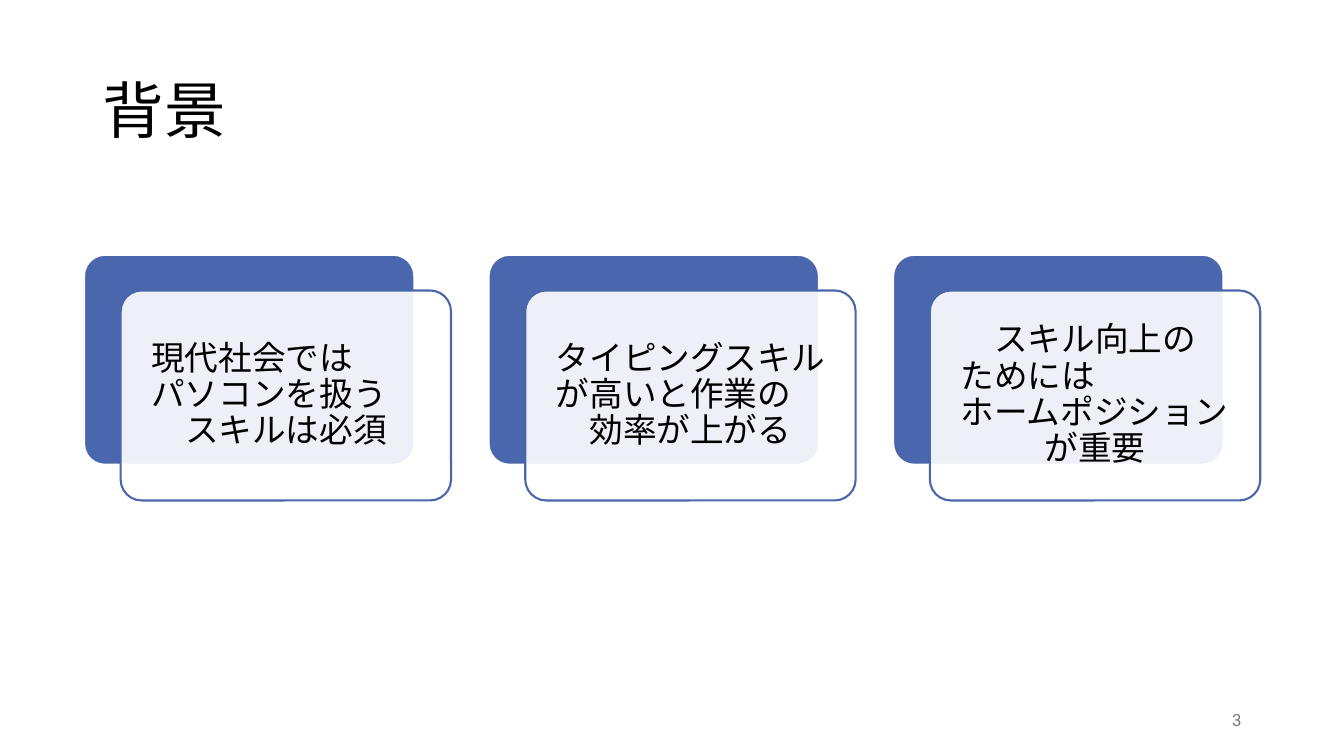
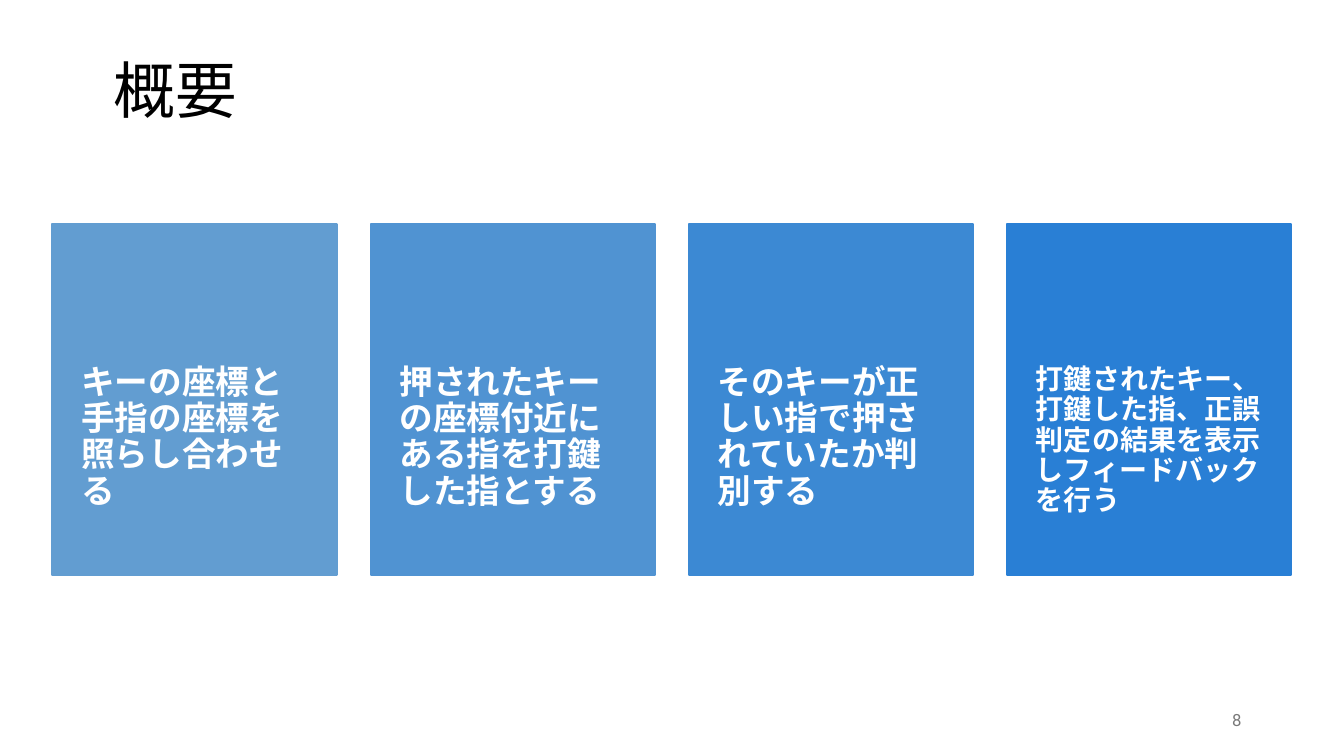
"""Build two slides on the background and outline of a typing trainer."""
from lxml import etree
from pptx import Presentation
from pptx.dml.color import RGBColor
from pptx.enum import lang, shapes, text
from pptx.oxml.ns import qn
from pptx.util import Pt

FONT = "Roboto"
BLACK = RGBColor(0x00, 0x00, 0x00)
WHITE = RGBColor(0xFF, 0xFF, 0xFF)
GREY = RGBColor(0x79, 0x79, 0x79)
NAVY = RGBColor(0x4A, 0x66, 0xAC)
BLUES = [RGBColor(0x62, 0x9D, 0xD1), RGBColor(0x50, 0x93, 0xD2),
         RGBColor(0x3C, 0x89, 0xD3), RGBColor(0x29, 0x7F, 0xD5)]

LEFT, RIGHT = text.PP_ALIGN.LEFT, text.PP_ALIGN.RIGHT
TOP, MIDDLE = text.MSO_ANCHOR.TOP, text.MSO_ANCHOR.MIDDLE
RECT, ROUND = shapes.MSO_SHAPE.RECTANGLE, shapes.MSO_SHAPE.ROUNDED_RECTANGLE

CARDS = [
    [("現代社会では", 0), ("パソコンを扱う", 0), ("スキルは必須", 1)],
    [("タイピングスキル", 0), ("が高いと作業の", 0), ("効率が上がる", 1)],
    [("スキル向上の", 1), ("ためには", 0), ("ホームポジション", 0), ("が重要", 2.5)],
]
PANELS = [
    ("キーの座標と手指の座標を照らし合わせる", 24),
    ("押されたキーの座標付近にある指を打鍵した指とする", 24),
    ("そのキーが正しい指で押されていたか判別する", 24),
    ("打鍵されたキー、打鍵した指、正誤判定の結果を表示しフィードバックを行う", 20),
]


def setup(frame, anchor, insets):
    """Set the wrapping, anchor and insets (left, top, right, bottom) of a frame."""
    frame.word_wrap = True
    frame.auto_size = text.MSO_AUTO_SIZE.NONE
    frame.vertical_anchor = anchor
    (frame.margin_left, frame.margin_top,
     frame.margin_right, frame.margin_bottom) = map(Pt, insets)


def write(frame, lines, size, color, bold=False, align=LEFT):
    """Write each (words, indent) line as a paragraph, indented in characters."""
    for i, (words, indent) in enumerate(lines):
        para = frame.add_paragraph() if i else frame.paragraphs[0]
        para.alignment = align
        para.line_spacing = 0.9
        if indent:
            para._p.get_or_add_pPr().set("marL", str(Pt(indent * size)))
        run = para.add_run()
        run.text = words
        font = run.font
        font.name, font.size, font.bold = FONT, Pt(size), bold
        font.color.rgb = color
        font.language_id = lang.MSO_LANGUAGE_ID.JAPANESE


def block(tree, kind, box, fill, edge):
    """Add a filled and outlined shape."""
    shape = tree.add_shape(kind, *map(Pt, box))
    shape.shadow.inherit = False
    shape.fill.solid()
    shape.fill.fore_color.rgb = fill
    shape.line.color.rgb = edge
    shape.line.width = Pt(1.5)
    return shape


def fade(shape, percent):
    """Set the opacity of a solid fill."""
    color = shape._element.spPr.find(qn("a:solidFill"))[0]
    etree.SubElement(color, qn("a:alpha"), val=str(percent * 1000))


def card(slide, left, lines):
    """Add a white card in front of a blue one."""
    wide, high = 236, 150
    tree = slide.shapes.add_group_shape().shapes
    back = block(tree, ROUND, (left, 182, wide, high), NAVY, WHITE)
    front = block(tree, ROUND, (left + 26.2, 207.5, wide, high), WHITE, NAVY)
    for shape in (back, front):
        shape.adjustments[0] = 0.1
    fade(front, 90)
    setup(front.text_frame, MIDDLE, (17.6, 8, 7.6, 8))
    write(front.text_frame, lines, 24, BLACK)


def panel(slide, left, words, size, fill):
    """Add a blue panel with bold text in its lower part."""
    shape = block(slide.shapes, RECT, (left, 160, 203, 250.5), fill, fill)
    setup(shape.text_frame, TOP, (20.7, 101, 20.5, 26))
    write(shape.text_frame, [(words, 0)], size, WHITE, bold=True)


def page(deck, title, box, anchor, number):
    """Add a slide with its title and page number."""
    slide = deck.slides.add_slide(deck.slide_layouts[5])
    head = slide.shapes.title
    head.left, head.top, head.width, head.height = map(Pt, box)
    setup(head.text_frame, anchor, (7.2, 3.6, 7.2, 3.6))
    write(head.text_frame, [(title, 0)], 44, BLACK)
    foot = slide.shapes.add_textbox(*map(Pt, (678, 500.5, 216, 28.8)))
    setup(foot.text_frame, MIDDLE, (7.2, 3.6, 7.2, 3.6))
    write(foot.text_frame, [(number, 0)], 12, GREY, align=RIGHT)
    return slide


def main():
    """Build and save the slides."""
    deck = Presentation()
    deck.slide_width, deck.slide_height = Pt(960), Pt(540)
    slide = page(deck, "背景", (66, 28.8, 828, 104.4), MIDDLE, "3")
    for i, lines in enumerate(CARDS):
        card(slide, 60 + 289 * i, lines)
    slide = page(deck, "概要", (74, 39.6, 736.5, 94.4), TOP, "8")
    for i, ((words, size), fill) in enumerate(zip(PANELS, BLUES)):
        panel(slide, 37.4 + 227.3 * i, words, size, fill)
    deck.save("out.pptx")


if __name__ == "__main__":
    main()
